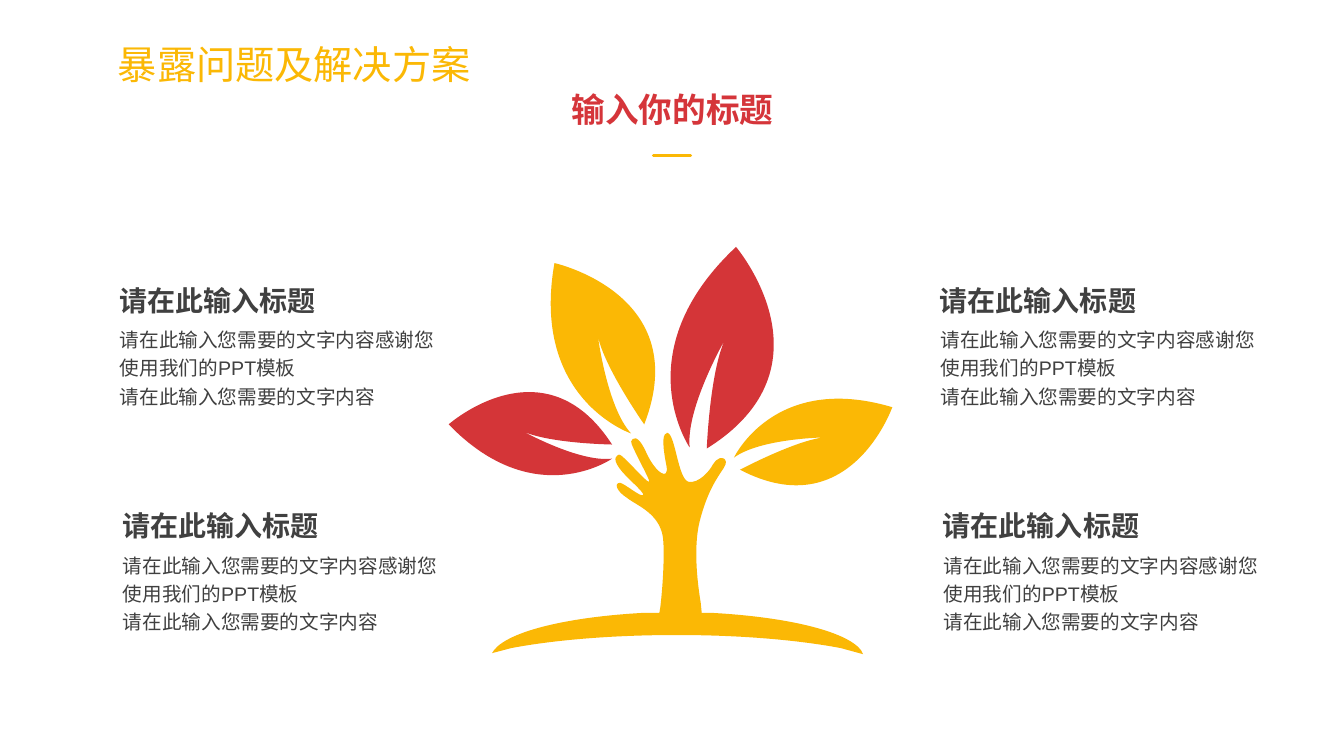
import pptx
import pptx.dml.color
import pptx.enum.shapes
import pptx.enum.text
import pptx.oxml.ns
import pptx.util
from lxml import etree

PX = 9144  # EMU in one px, 100 px to the inch

YELLOW = pptx.dml.color.RGBColor(0xFB, 0xB8, 0x05)
RED = pptx.dml.color.RGBColor(0xD4, 0x35, 0x38)
HEADING_RED = pptx.dml.color.RGBColor(0xD5, 0x35, 0x3A)
GREY = pptx.dml.color.RGBColor(0x40, 0x40, 0x40)

CJK_FONT = "Noto Sans CJK SC"
LABEL_FONT = "Arial"
LEFT = pptx.enum.text.PP_ALIGN.LEFT
CENTER = pptx.enum.text.PP_ALIGN.CENTER

BLOCK_HEADING = "请在此输入标题"
BLOCK_LINES = ["请在此输入您需要的文字内容感谢您使用我们的PPT模板", "请在此输入您需要的文字内容"]
BLOCK_CORNERS = [(921, 276), (924, 500), (107, 276), (110, 500)]

# Outlines: a start point, then segments of one point (line) or three (curve)
LEAVES = [
    (YELLOW, (626, 430), [
        (626, 430, 526, 396, 550, 261), (550, 261, 689, 292, 639, 421),
        (639, 421, 599, 364, 593, 333), (593, 333, 602, 404, 626, 430)]),
    (RED, (684, 444), [
        (684, 444, 619, 349, 730, 245), (730, 245, 831, 364, 701, 445),
        (701, 445, 704, 369, 719, 337), (719, 337, 680, 405, 684, 444)]),
    (YELLOW, (728, 454), [
        (728, 454, 768, 369, 885, 404), (885, 404, 843, 523, 734, 466),
        (734, 466, 789, 437, 817, 434), (817, 434, 754, 435, 728, 454)]),
    (RED, (607, 455), [
        (607, 455, 530, 509, 445, 421), (445, 421, 540, 337, 607, 441),
        (607, 441, 545, 440, 519, 428), (519, 428, 575, 459, 607, 455)]),
]
HAND_TRUNK = (YELLOW, (661, 430), [
    (661, 429, 662, 429, 663, 430), (670, 434, 673, 476, 683, 478),
    (693, 480, 704, 467, 707, 461), (710, 455, 718, 451, 720, 458),
    (721, 465, 705, 474, 694, 517), (688, 541, 691, 574, 695, 598),
    (696, 608), (705, 608), (780, 612, 839, 626, 854, 645), (856, 649),
    (834, 643), (792, 635, 735, 630, 671, 630), (607, 630, 549, 635, 507, 643),
    (488, 648), (490, 645), (505, 626, 564, 612, 639, 608), (654, 608),
    (655, 602), (657, 585, 659, 557, 658, 538), (657, 510, 632, 502, 622, 494),
    (611, 487, 609, 479, 615, 479), (620, 480, 636, 494, 638, 491),
    (639, 488, 620, 473, 614, 464), (607, 454, 612, 452, 614, 451),
    (617, 450, 642, 480, 644, 478), (645, 476, 625, 441, 626, 438),
    (627, 435, 632, 429, 641, 449), (650, 469, 664, 478, 661, 462),
    (658, 447, 656, 431, 661, 430)])


def px(*lengths):
    return [pptx.util.Emu(length * PX) for length in lengths]


def write_text(shape, lines, *, size, color, font=CJK_FONT, bold=False,
               align=LEFT, spacing=None, wrap=True):
    frame = shape.text_frame
    frame.word_wrap = wrap
    frame.auto_size = pptx.enum.text.MSO_AUTO_SIZE.SHAPE_TO_FIT_TEXT
    frame.vertical_anchor = pptx.enum.text.MSO_ANCHOR.TOP
    for index, line in enumerate(lines):
        para = frame.paragraphs[0] if index == 0 else frame.add_paragraph()
        para.alignment = align
        para.line_spacing = spacing
        span = para.add_run()
        span.text = line
        span.font.size = pptx.util.Pt(size)
        span.font.bold = bold
        span.font.color.rgb = color
        span.font.name = font
        east_asian = etree.SubElement(span.font._element, pptx.oxml.ns.qn("a:ea"))
        east_asian.set("typeface", font)


def add_text(page, bounds, lines, **style):
    write_text(page.shapes.add_textbox(*px(*bounds)), lines, **style)


def add_title(page, bounds, line, **style):
    title = page.shapes.title
    title.left, title.top, title.width, title.height = px(*bounds)
    write_text(title, [line], **style)


def add_outline(page, color, start, segments):
    builder = page.shapes.build_freeform(*start, scale=PX)
    for segment in segments:
        builder.add_line_segments(list(zip(segment[::2], segment[1::2])), close=False)
    builder.add_line_segments([], close=True)
    shape = builder.convert_to_shape()

    # Join the three points of each curve into one cubic segment
    steps = iter(list(shape._element.iter(pptx.oxml.ns.qn("a:lnTo"))))
    for segment in segments:
        step = next(steps)
        if len(segment) == 6:
            step.tag = pptx.oxml.ns.qn("a:cubicBezTo")
            for extra in (next(steps), next(steps)):
                step.append(extra[0])
                extra.getparent().remove(extra)

    shape.shadow.inherit = False
    shape.fill.solid()
    shape.fill.fore_color.rgb = color
    shape.line.fill.background()


def add_rule(page, ends, color, width):
    rule = page.shapes.add_connector(
        pptx.enum.shapes.MSO_CONNECTOR.STRAIGHT, *px(*ends))
    rule.line.color.rgb = color
    rule.line.width = pptx.util.Pt(width)
    rule.line._get_or_add_ln().set("cap", "rnd")
    etree.SubElement(rule._element.spPr, pptx.oxml.ns.qn("a:effectLst"))


def add_block(page, left, top):
    add_text(page, (left, top, 217, 44), [BLOCK_HEADING], size=20, color=GREY,
             font=LABEL_FONT, bold=True, align=CENTER, wrap=False)
    add_text(page, (left + 2, top + 40, 333, 93), BLOCK_LINES, size=14,
             color=GREY, font=LABEL_FONT, spacing=1.2)


def main():
    deck = pptx.Presentation()
    deck.slide_width, deck.slide_height = px(1333, 750)
    page = deck.slides.add_slide(deck.slide_layouts[5])

    # Title
    add_title(page, (107, 35, 374, 57), "暴露问题及解决方案",
              size=28, color=YELLOW, wrap=False)

    # Tree with four leaves
    for outline in LEAVES + [HAND_TRUNK]:
        add_outline(page, *outline)

    # Text blocks on both sides
    for left, top in BLOCK_CORNERS:
        add_block(page, left, top)

    # Centred heading with its rule
    add_text(page, (525, 83, 284, 50), ["输入你的标题"],
             size=24, color=HEADING_RED, bold=True, align=CENTER)
    add_rule(page, (648, 154, 685, 154), YELLOW, 2)

    deck.save("out.pptx")


if __name__ == "__main__":
    main()
